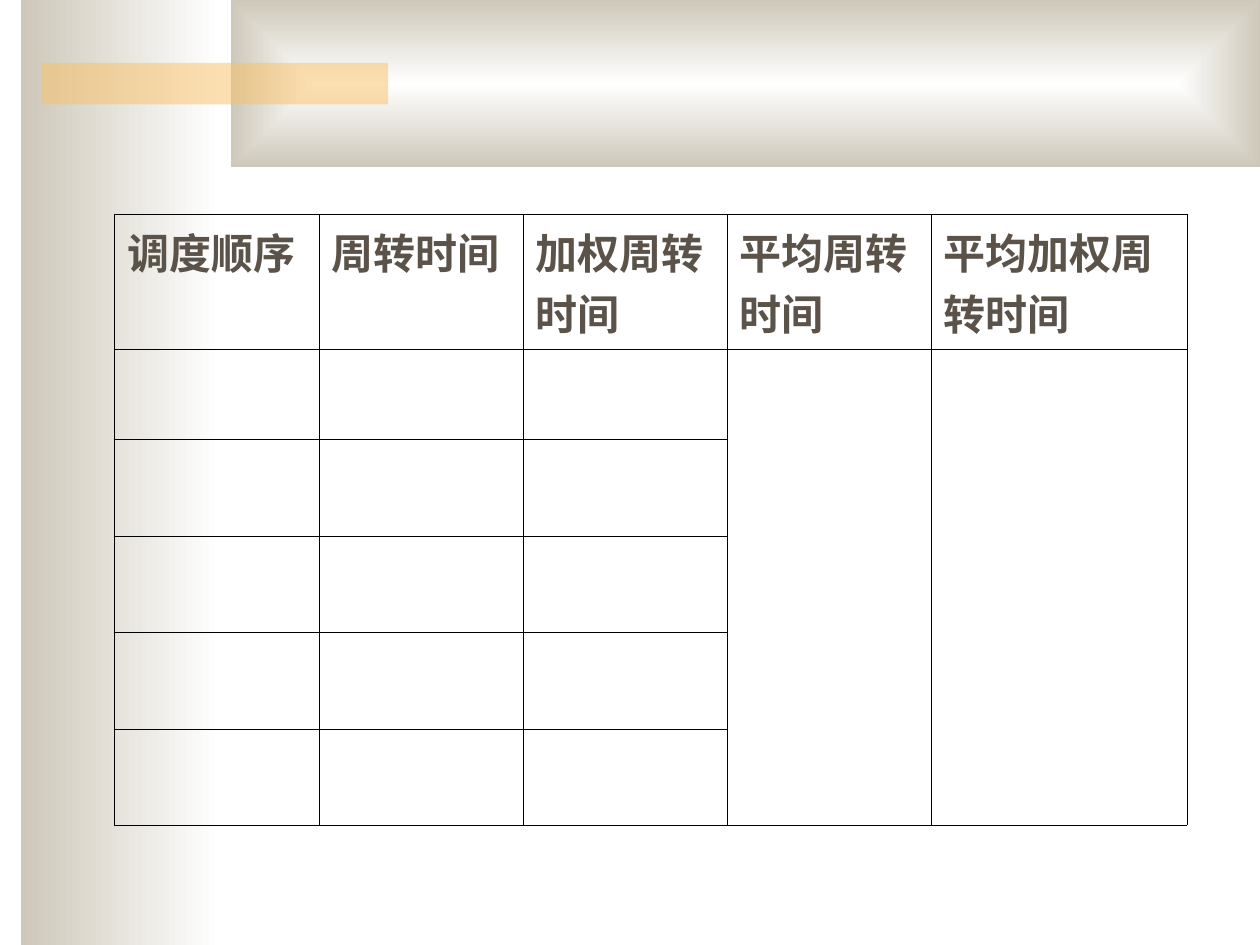
import pptx
import pptx.dml.color
import pptx.enum.shapes
import pptx.oxml
import pptx.oxml.ns
import pptx.util
from pptx.util import Inches

RGB = pptx.dml.color.RGBColor
WHITE = RGB(0xFF, 0xFF, 0xFF)
SAND = RGB(0xCE, 0xC8, 0xBA)
GOLD = RGB(0xFA, 0xC1, 0x64)
BROWN = RGB(0x5B, 0x52, 0x49)
BLACK = RGB(0, 0, 0)
FONT = "Noto Sans CJK SC"
NS = pptx.oxml.ns.nsdecls("a")

HEADS = ["调度顺序", "周转时间", "加权周转时间", "平均周转时间", "平均加权周转时间"]
COLS = [1.62] * 4 + [2.03]
ROWS = [0.9, 0.72, 0.77, 0.76, 0.77, 0.76]

LEFTWARD = '<a:lin ang="10800000" scaled="0"/>'
INWARD = ('<a:path path="rect"><a:fillToRect l="50000" t="50000" '
          'r="50000" b="50000"/></a:path>')


def add_rect(slide, left, top, width, height):
    """Add a plain rectangle without line or shadow."""
    rect = slide.shapes.add_shape(
        pptx.enum.shapes.MSO_SHAPE.RECTANGLE,
        Inches(left), Inches(top), Inches(width), Inches(height))
    rect.shadow.inherit = False
    rect.line.fill.background()
    return rect


def fade(rect, course):
    """Fill a rectangle with a white to sand gradient."""
    fill = pptx.oxml.parse_xml(
        f'<a:gradFill {NS} rotWithShape="1"><a:gsLst>'
        f'<a:gs pos="0"><a:srgbClr val="{WHITE}"/></a:gs>'
        f'<a:gs pos="100000"><a:srgbClr val="{SAND}"/></a:gs>'
        f'</a:gsLst>{course}</a:gradFill>')
    rect._element.spPr.find(pptx.oxml.ns.qn("a:prstGeom")).addnext(fill)


def add_bar(slide):
    """Add the half transparent gold bar."""
    bar = add_rect(slide, 0.33, 0.5, 2.75, 0.33)
    bar.fill.solid()
    bar.fill.fore_color.rgb = GOLD
    tint = bar._element.spPr.find(".//" + pptx.oxml.ns.qn("a:srgbClr"))
    tint.append(pptx.oxml.parse_xml(f'<a:alpha {NS} val="50000"/>'))


def style_cell(cell):
    """Give a cell thin black borders and no fill."""
    props = cell._tc.get_or_add_tcPr()
    for side in "LRTB":
        props.append(pptx.oxml.parse_xml(
            f'<a:ln{side} {NS} w="{pptx.util.Pt(0.23)}"><a:solidFill>'
            f'<a:srgbClr val="{BLACK}"/></a:solidFill></a:ln{side}>'))
    cell.fill.background()


def write_head(cell, text):
    """Write a column heading."""
    para = cell.text_frame.paragraphs[0]
    para.space_before = pptx.util.Pt(6)
    run = para.add_run()
    run.text = text
    font = run.font
    font.size = pptx.util.Pt(24)
    font.bold = True
    font.color.rgb = BROWN
    font.name = FONT
    # Chinese glyphs take the East Asian font
    run._r.get_or_add_rPr().append(
        pptx.oxml.parse_xml(f'<a:ea {NS} typeface="{FONT}"/>'))


def add_grid(slide):
    """Add the scheduling table."""
    grid = slide.shapes.add_table(
        len(ROWS), len(COLS), Inches(0.91), Inches(1.7),
        Inches(sum(COLS)), Inches(sum(ROWS))).table
    grid.first_row = False
    grid.horz_banding = False
    for col, width in zip(grid.columns, COLS):
        col.width = Inches(width)
    for row, height in zip(grid.rows, ROWS):
        row.height = Inches(height)
    for cell in grid.iter_cells():
        style_cell(cell)
    for idx, text in enumerate(HEADS):
        write_head(grid.cell(0, idx), text)
    # The averages span all the body rows
    for idx in (3, 4):
        grid.cell(1, idx).merge(grid.cell(len(ROWS) - 1, idx))


def main():
    deck = pptx.Presentation()
    deck.slide_width = Inches(10)
    deck.slide_height = Inches(7.5)
    slide = deck.slides.add_slide(deck.slide_layouts[6])

    # Backdrop
    fade(add_rect(slide, 0.17, 0, 1.58, 7.5), LEFTWARD)
    fade(add_rect(slide, 1.83, 0, 8.17, 1.33), INWARD)
    add_bar(slide)

    # Content
    add_grid(slide)
    deck.save("out.pptx")


if __name__ == "__main__":
    main()
